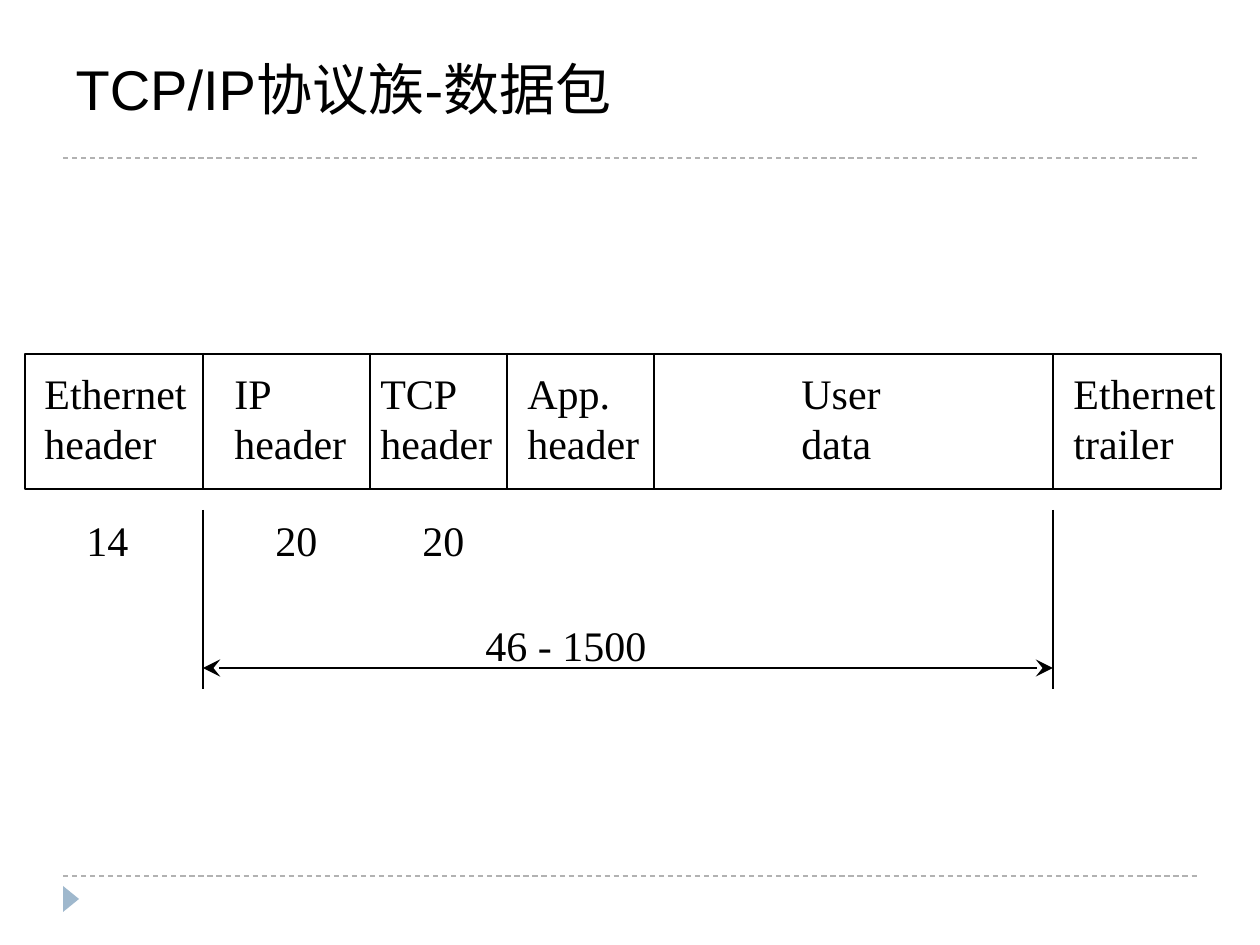
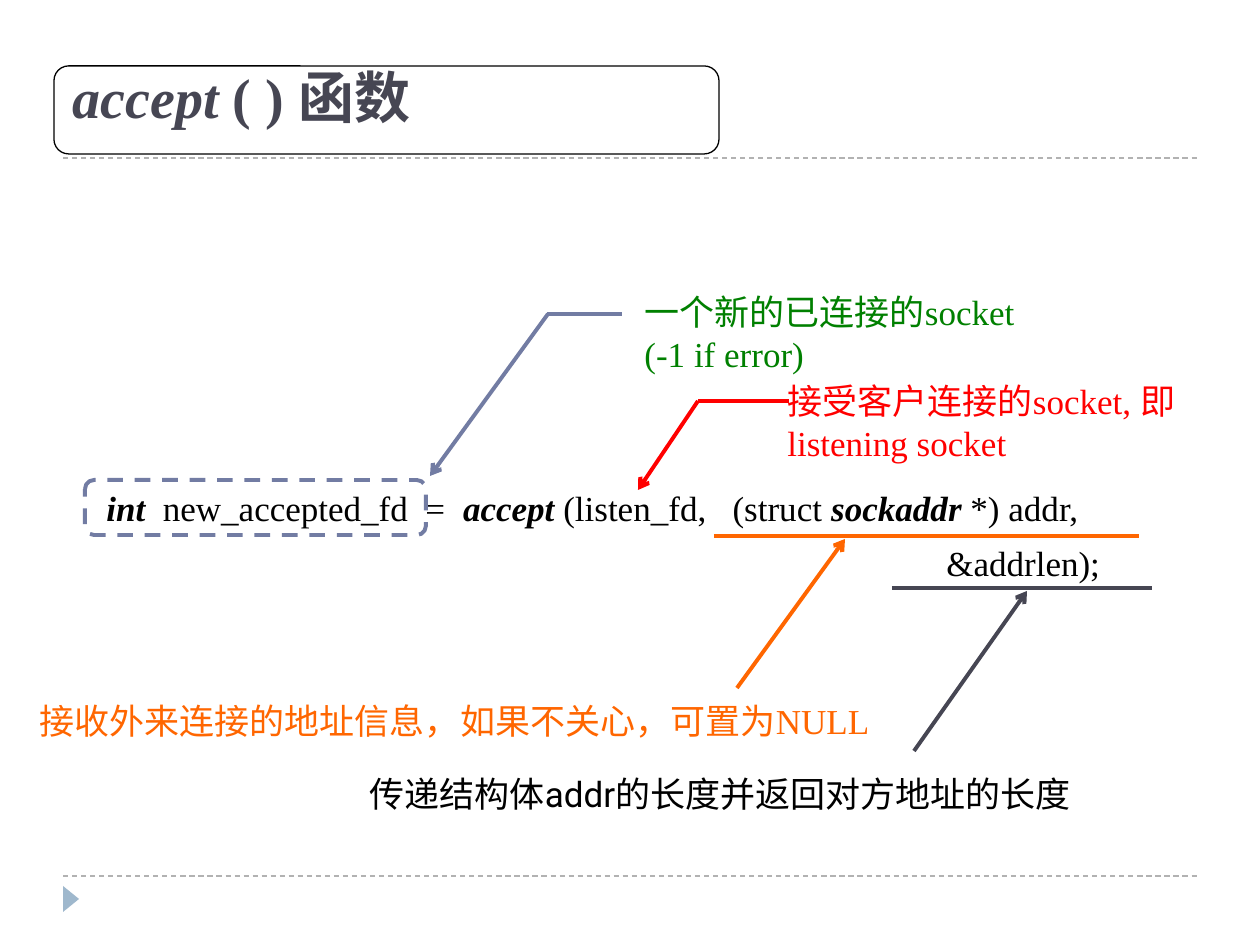
from lxml import etree
from pptx import Presentation
from pptx.dml.color import RGBColor
from pptx.enum.dml import MSO_LINE
from pptx.enum.shapes import MSO_CONNECTOR, MSO_SHAPE
from pptx.enum.text import MSO_ANCHOR, MSO_AUTO_SIZE, PP_ALIGN
from pptx.oxml.ns import qn
from pptx.util import Pt

PX = 914400 / 126
STRAIGHT = MSO_CONNECTOR.STRAIGHT
RECT, ROUNDED = MSO_SHAPE.RECTANGLE, MSO_SHAPE.ROUNDED_RECTANGLE
TRIANGLE = MSO_SHAPE.ISOSCELES_TRIANGLE
DASH = MSO_LINE.DASH
TOP, MIDDLE = MSO_ANCHOR.TOP, MSO_ANCHOR.MIDDLE
LEFT = PP_ALIGN.LEFT
FIT, NO_FIT = MSO_AUTO_SIZE.SHAPE_TO_FIT_TEXT, MSO_AUTO_SIZE.NONE
SERIF, SANS, ROBOTO = "Times New Roman", "Arial", "Roboto"
BLACK, WHITE, ACCENT, RULE = "000000", "FFFFFF", "9FB8CD", "B2B2B2"
SLATE, BLUE, GREEN = "464653", "727CA3", "008000"
RED, ORANGE = "FF0000", "FF6600"


def px(*values):
    return [round(v * PX) for v in values]


def rgb(value):
    return RGBColor.from_string(value)


def line(s, x1, y1, x2, y2, color=BLACK, width=1, dash=None,
         head=None, tail=None, tip="med"):
    c = s.shapes.add_connector(STRAIGHT, *px(x1, y1, x2, y2))
    c.line.color.rgb = rgb(color)
    c.line.width = Pt(width)
    if dash:
        c.line.dash_style = dash
    ln = c.line._get_or_add_ln()
    for tag, kind in (("a:headEnd", head), ("a:tailEnd", tail)):
        if kind:
            etree.SubElement(ln, qn(tag), type=kind, w=tip, len=tip)
    etree.SubElement(c.element.spPr, qn("a:effectLst"))
    return c


def shape(s, kind, x, y, w, h, fill=None, color=None, width=1, dash=None):
    sp = s.shapes.add_shape(kind, *px(x, y, w, h))
    sp.shadow.inherit = False
    if fill:
        sp.fill.solid()
        sp.fill.fore_color.rgb = rgb(fill)
    else:
        sp.fill.background()
    if color:
        sp.line.color.rgb = rgb(color)
        sp.line.width = Pt(width)
        if dash:
            sp.line.dash_style = dash
    else:
        sp.line.fill.background()
    return sp


def format_paragraph(p, size, font, color):
    p.alignment = LEFT
    p.line_spacing = Pt(size * 1.2)
    for r in p.runs:
        r.font.size = Pt(size)
        r.font.name = font
        r.font.color.rgb = rgb(color)


def add_runs(p, runs):
    for words, bold, italic in runs:
        r = p.add_run()
        r.text = words
        r.font.bold = bold
        r.font.italic = italic


def text(s, x, y, w, h, content, size=20, color=BLACK, font=SERIF, wrap=True):
    tf = s.shapes.add_textbox(*px(x, y, w, h)).text_frame
    tf.word_wrap = wrap
    tf.auto_size = FIT
    if isinstance(content, str):
        tf.text = content
    else:
        add_runs(tf.paragraphs[0], content)
    for p in tf.paragraphs:
        format_paragraph(p, size, font, color)


def title(s, x, y, w, h, runs, font, color, anchor):
    sp = s.shapes.title
    sp.left, sp.top, sp.width, sp.height = px(x, y, w, h)
    tf = sp.text_frame
    tf.auto_size = NO_FIT
    tf.vertical_anchor = anchor
    add_runs(tf.paragraphs[0], runs)
    format_paragraph(tf.paragraphs[0], 32, font, color)
    return sp


def decorate_layout(layout, s):
    marks = [line(s, 63, y, 1197, y, RULE, 0.75, DASH) for y in (876, 158)]
    marker = shape(s, TRIANGLE, 58, 891, 26, 16, fill=ACCENT)
    marker.rotation = 90
    for i, mark in enumerate(marks + [marker]):
        mark.element.xpath(".//p:cNvPr")[0].set("id", str(100 + i))
        layout.shapes.element.append(mark.element)


def packet_row(s, x, y, w, h):
    fields = [
        (7, 168, "Ethernet\nheader"), (197, 137, "IP\nheader"),
        (343, 137, "TCP\nheader"), (490, 137, "App.\nheader"),
        (764, 115, "User\ndata"), (1036, 168, "Ethernet\ntrailer"),
    ]
    for dx, width, label in fields:
        text(s, x + dx, y + 7, width, 113, label, 24, wrap=False)
    shape(s, RECT, x, y, w, h, color=BLACK)
    for dx in (178, 345, 482, 629, 1028):
        line(s, x + dx, y - 1, x + dx, y + h)


def byte_counts(s, x, y, w, h):
    for dx, count in ((-129, "14"), (60, "20"), (207, "20")):
        text(s, x + dx, y - 2, 68, 63, count, 24, wrap=False)
    text(s, x + 270, y + 103, 186, 63, "46 - 1500", 24, wrap=False)
    for edge in (x, x + w):
        line(s, edge, y, edge, y + h)
    line(s, x, y + 158, x + w, y + 158, head="stealth", tail="stealth", tip="lg")


def packet_slide(s):
    title(s, 63, 43, 1134, 91, [("TCP/IP协议族-数据包", False, False)],
          SANS, BLACK, MIDDLE)
    packet_row(s, 25, 354, 1196, 135)
    byte_counts(s, 203, 510, 850, 179)


def framed_title(s, x, y, w, h):
    frame = shape(s, ROUNDED, x, y, w, h, WHITE, BLACK, 0.75)
    heading = title(s, x + 6, y - 10, w + 4, h - 7,
                    [("accept", True, True), (" ( ) 函数", True, False)],
                    SERIF, SLATE, TOP)
    heading.element.addprevious(frame.element)


def call_signature(s, x, y, w, h):
    text(s, x, y, w, h, [
        ("int", True, True), ("  new_accepted_fd  =  ", False, False),
        ("accept", True, True), (" (listen_fd,   (struct ", False, False),
        ("sockaddr", True, True), (" *) addr,", False, False),
    ])
    text(s, x + 840, y + h, 304, h, "&addrlen);")
    shape(s, ROUNDED, x - 9, y, 341, h, color=BLUE, width=2.25, dash=DASH)


def callout(s, x, y, w, h, words, color, bar, arrow, ink=None, font=SERIF):
    text(s, x, y, w, h, words, color=color, font=font)
    line(s, *bar, ink or color, 2.25)
    line(s, *arrow, ink or color, 2.25, tail="arrow")


def accept_slide(s):
    framed_title(s, 54, 66, 665, 88)
    call_signature(s, 94, 480, 1121, 55)
    callout(s, 632, 284, 460, 97, "一个新的已连接的socket\n(-1 if error)", GREEN,
            (622, 314, 547, 314), (548, 314, 430, 476), ink=BLUE)
    callout(s, 775, 373, 470, 97, "接受客户连接的socket, 即\nlistening socket", RED,
            (698, 401, 789, 401), (698, 401, 638, 490))
    callout(s, 27, 693, 940, 55, "接收外来连接的地址信息，如果不关心，可置为NULL", ORANGE,
            (714, 536, 1139, 536), (737, 688, 845, 539))
    callout(s, 357, 766, 798, 55, "传递结构体addr的长度并返回对方地址的长度", BLACK,
            (892, 588, 1152, 588), (914, 751, 1027, 591), ink=SLATE, font=ROBOTO)


def main():
    prs = Presentation()
    prs.slide_width, prs.slide_height = px(1260, 945)
    layout = prs.slide_layouts[5]
    for i, build in enumerate((packet_slide, accept_slide)):
        s = prs.slides.add_slide(layout)
        if i == 0:
            decorate_layout(layout, s)
        build(s)
    prs.save("out.pptx")


if __name__ == "__main__":
    main()
